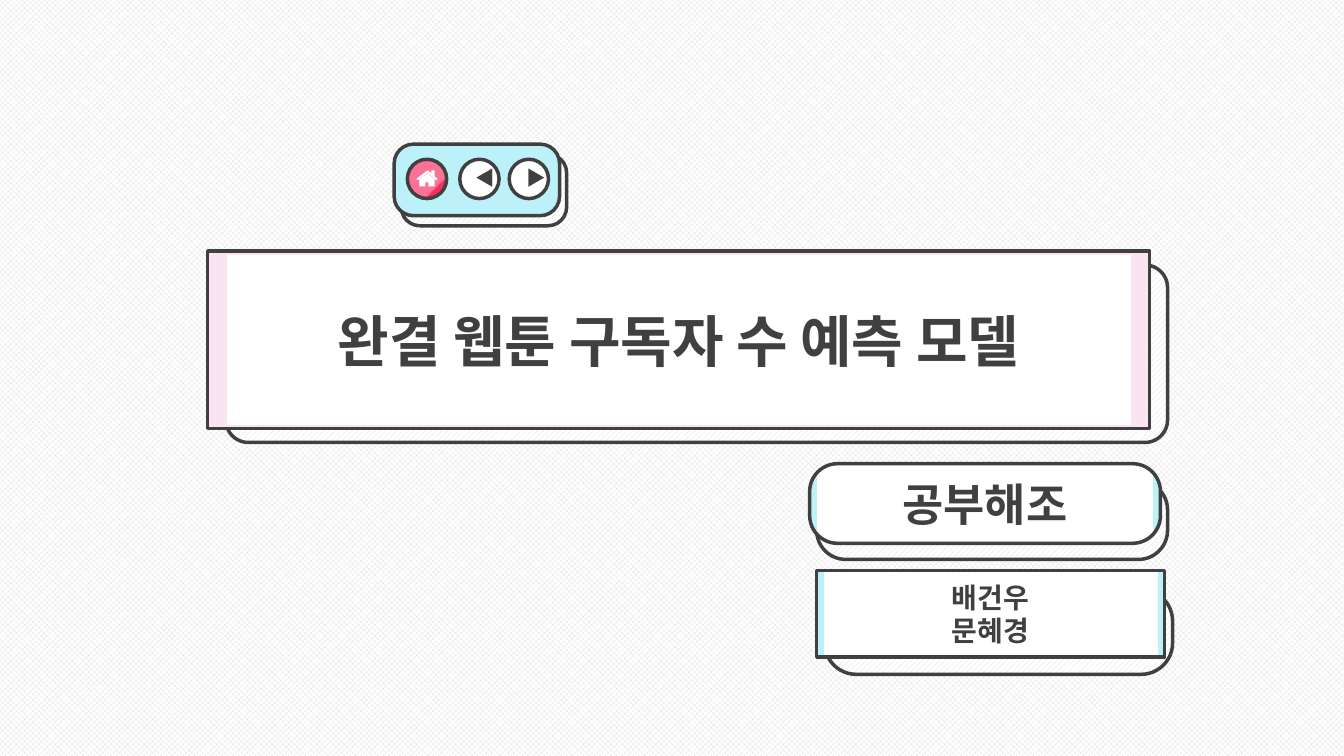
from dataclasses import dataclass

from pptx import Presentation, oxml, util as u
from pptx.dml import color
from pptx.enum import dml as fills, shapes, text
from pptx.oxml import ns


@dataclass(frozen=True)
class Theme:
    font: str = "Noto Sans CJK KR"
    ink: str = "404040"
    white: str = "FFFFFF"
    hatch: str = "D9D9D9"
    pink: str = "FAE4F1"
    sky: str = "BCF1FA"
    rose: str = "FA7296"
    crimson: str = "F82C61"
    outline: float = 2.5
    title_size: int = 40
    team_size: int = 32
    member_size: int = 20
    arrow_size: int = 14


THEME = Theme()
ROUNDED = shapes.MSO_SHAPE.ROUNDED_RECTANGLE
OVAL = shapes.MSO_SHAPE.OVAL
HOUSE = [(200, 140), (120, 200), (120, 270), (180, 270), (180, 230), (210, 230),
         (210, 270), (270, 270), (270, 200)]
ROOF = [(200, 110), (90, 195), (105, 210), (200, 135), (285, 210), (300, 195),
        (270, 170), (270, 110), (240, 110), (240, 140)]


def rgb(value):
    return color.RGBColor.from_string(value)


def fill_solid(shape, value):
    shape.fill.solid()
    shape.fill.fore_color.rgb = rgb(value)


def fill_pattern(fill, pattern):
    fill.patterned()
    fill.pattern = pattern
    fill.fore_color.rgb = rgb(THEME.hatch)
    fill.back_color.rgb = rgb(THEME.white)


def fill_path_gradient(shape, path, stops, focus):
    shape.fill.background()
    marks = "".join(
        f'<a:gs pos="{position * 1000}"><a:srgbClr val="{value}"/></a:gs>'
        for position, value in stops)
    edges = " ".join(f'{side}="{share * 1000}"' for side, share in zip("ltrb", focus))
    gradient = oxml.parse_xml(
        f'<a:gradFill {ns.nsdecls("a")} rotWithShape="1"><a:gsLst>{marks}</a:gsLst>'
        f'<a:path path="{path}"><a:fillToRect {edges}/></a:path></a:gradFill>')
    properties = shape._element.spPr
    properties.replace(properties.find(ns.qn("a:noFill")), gradient)


def outline(shape):
    shape.line.color.rgb = rgb(THEME.ink)
    shape.line.width = u.Pt(THEME.outline)


def add_outlined(slide, kind, box):
    shape = slide.shapes.add_shape(kind, *map(u.Inches, box))
    shape.shadow.inherit = False
    outline(shape)
    return shape


def add_back(slide, box, corner):
    back = add_outlined(slide, ROUNDED, box)
    back.adjustments[0] = corner
    fill_pattern(back.fill, fills.MSO_PATTERN.WIDE_UPWARD_DIAGONAL)


def round_placeholder(slide, placeholder, box):
    placeholder.left, placeholder.top, placeholder.width, placeholder.height = map(
        u.Inches, box)
    placeholder._element.spPr.append(oxml.parse_xml(
        f'<a:prstGeom {ns.nsdecls("a")} prst="roundRect"><a:avLst/></a:prstGeom>'))
    slide.shapes._spTree.append(placeholder._element)
    outline(placeholder)
    return placeholder


def write(shape, lines, size, bold=True, insets=(0.1, 0.05, 0.1, 0.05)):
    frame = shape.text_frame
    frame.text = "\n".join(lines)
    frame.word_wrap = True
    frame.auto_size = text.MSO_AUTO_SIZE.NONE
    frame.vertical_anchor = text.MSO_ANCHOR.MIDDLE
    (frame.margin_left, frame.margin_top,
     frame.margin_right, frame.margin_bottom) = map(u.Inches, insets)
    for paragraph in frame.paragraphs:
        paragraph.alignment = text.PP_ALIGN.CENTER
        paragraph.space_before = u.Pt(0)
        paragraph.font.size = u.Pt(size)
        paragraph.font.bold = bold
        paragraph.font.color.rgb = rgb(THEME.ink)
        paragraph.font.name = THEME.font
        defaults = paragraph._p.pPr.find(ns.qn("a:defRPr"))
        defaults.append(oxml.parse_xml(
            f'<a:ea {ns.nsdecls("a")} typeface="{THEME.font}"/>'))


def add_card(slide, box, back_box, corners, edge, lines, size, placeholder=None):
    add_back(slide, back_box, corners[1])
    if placeholder is None:
        card = add_outlined(slide, ROUNDED, box)
    else:
        card = round_placeholder(slide, placeholder, box)
    card.adjustments[0] = corners[0]
    stops = [(0, THEME.white), (96, THEME.white), (96, edge), (100, edge)]
    fill_path_gradient(card, "shape", stops, (50, 50, 50, 50))
    write(card, lines, size)


def add_icon_part(slide, left, top, points):
    builder = slide.shapes.build_freeform(*points[0], scale=u.Inches(1) / 1000)
    builder.add_line_segments(points[1:])
    part = builder.convert_to_shape(u.Inches(left), u.Inches(top))
    part.shadow.inherit = False
    fill_solid(part, THEME.white)
    part.line.fill.background()


def add_navigation(slide, box):
    left, top, width, height = box
    add_back(slide, (left + 0.07, top + 0.1, width, height), 0.26)
    bar = add_outlined(slide, ROUNDED, box)
    bar.adjustments[0] = 0.27
    fill_solid(bar, THEME.sky)

    diameter, button_top = 0.39, top + 0.15
    home_left = left + 0.13
    home = add_outlined(slide, OVAL, (home_left, button_top, diameter, diameter))
    stops = [(0, THEME.rose), (71, THEME.rose), (73, THEME.crimson), (100, THEME.crimson)]
    fill_path_gradient(home, "circle", stops, (0, 0, 100, 100))
    for points in (HOUSE, ROOF):
        add_icon_part(slide, home_left, button_top, points)

    for offset, arrow, inset in ((0.65, "◀", 0.1), (1.14, "▶", 0.2)):
        button = add_outlined(slide, OVAL, (left + offset, button_top, diameter, diameter))
        fill_solid(button, THEME.white)
        write(button, [arrow], THEME.arrow_size, False, (inset, 0.05, 0.16, 0.08))


def build_cover(presentation):
    slide = presentation.slides.add_slide(presentation.slide_layouts[0])
    fill_pattern(slide.background.fill, fills.MSO_PATTERN.OUTLINED_DIAMOND)
    title, members = slide.placeholders
    add_card(slide, (2.06, 2.49, 9.34, 1.76), (2.24, 2.63, 9.34, 1.76), (0.127, 0.127),
             THEME.pink, ["완결 웹툰 구독자 수 예측 모델"], THEME.title_size, title)
    add_navigation(slide, (3.91, 1.43, 1.64, 0.71))
    add_card(slide, (8.03, 4.6, 3.48, 0.79), (8.1, 4.77, 3.48, 0.78), (0.35, 0.37),
             THEME.sky, ["공부해조"], THEME.team_size)
    add_card(slide, (8.1, 5.66, 3.45, 0.86), (8.18, 5.85, 3.45, 0.84), (0.35, 0.37),
             THEME.sky, ["배건우", "문혜경"], THEME.member_size, members)


def main():
    presentation = Presentation()
    presentation.slide_width = u.Inches(13.33)
    presentation.slide_height = u.Inches(7.5)
    build_cover(presentation)
    presentation.save("out.pptx")


if __name__ == "__main__":
    main()
